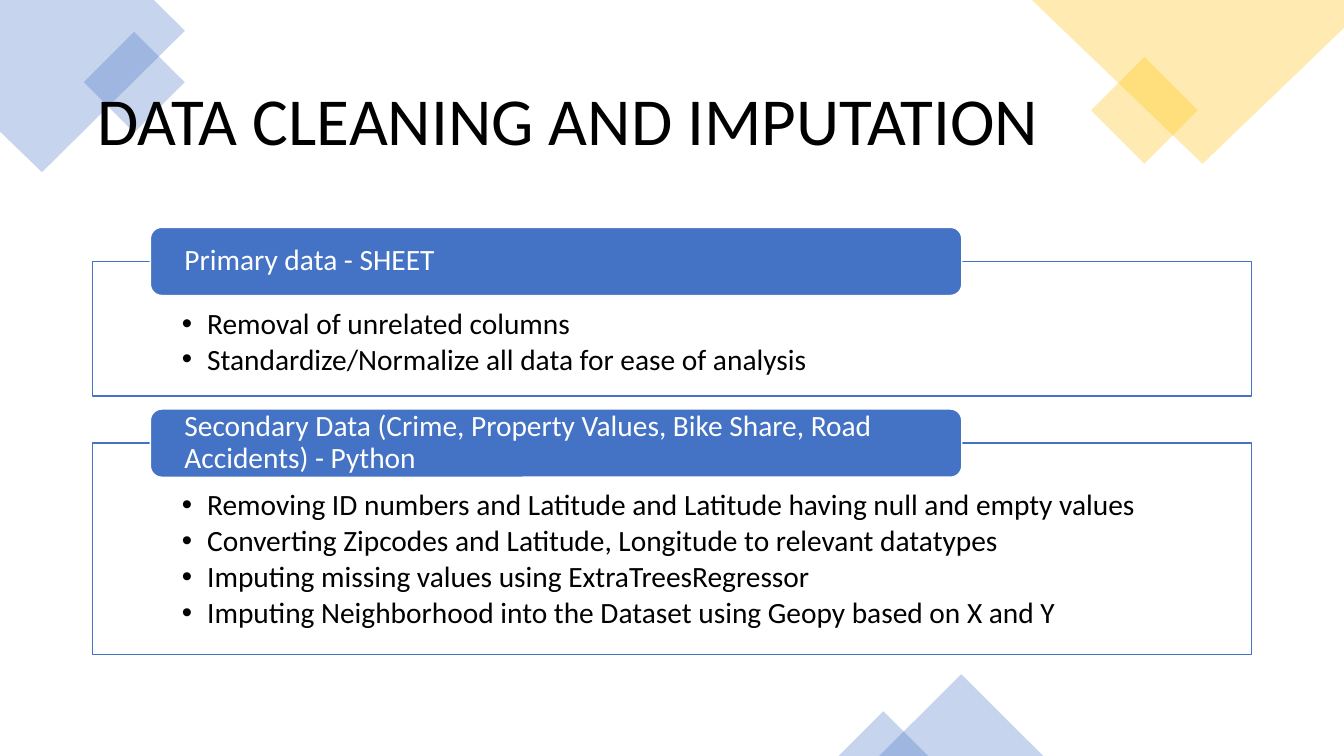
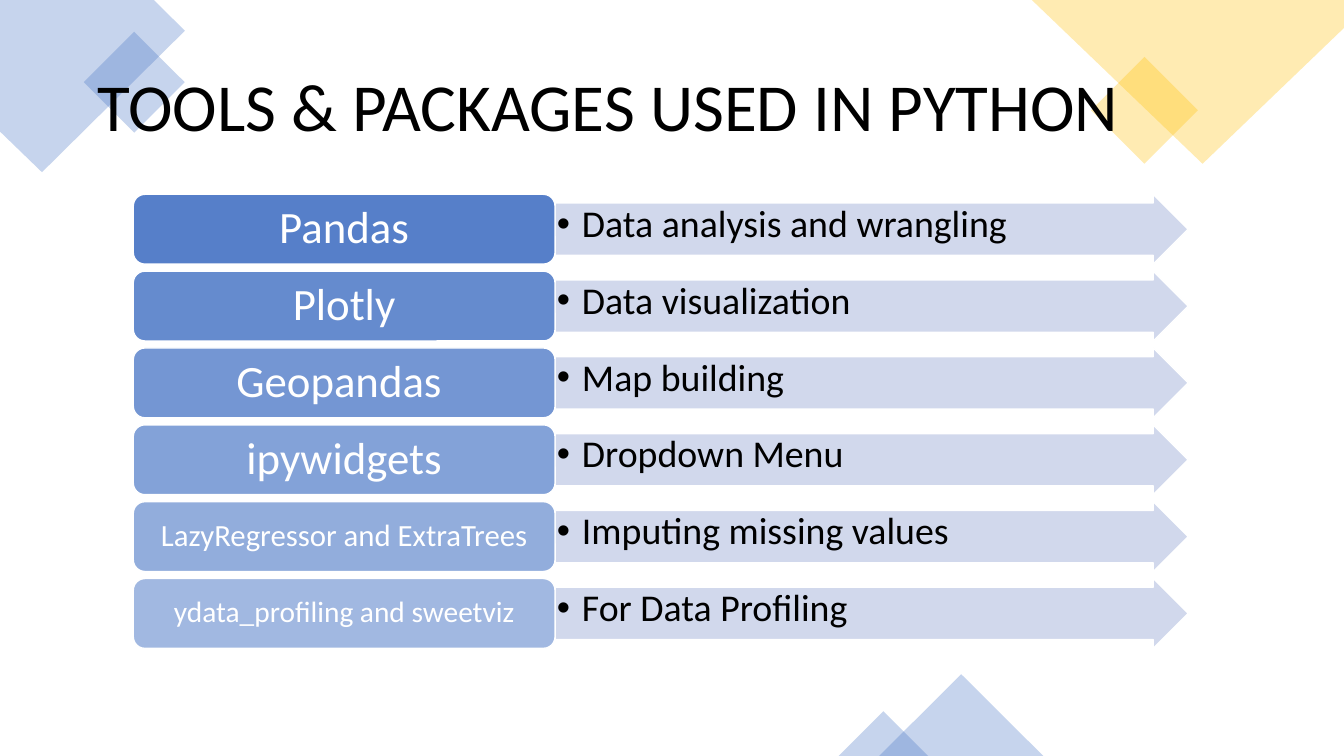
from lxml import etree
from pptx import Presentation
from pptx.dml.color import RGBColor
from pptx.enum.shapes import MSO_SHAPE
from pptx.enum.text import MSO_ANCHOR, MSO_AUTO_SIZE, PP_ALIGN
from pptx.oxml.ns import qn
from pptx.util import Pt

RECTANGLE = MSO_SHAPE.RECTANGLE
ROUNDED = MSO_SHAPE.ROUNDED_RECTANGLE
TRIANGLE = MSO_SHAPE.ISOSCELES_TRIANGLE
ARROW = MSO_SHAPE.RIGHT_ARROW
TOP, MIDDLE = MSO_ANCHOR.TOP, MSO_ANCHOR.MIDDLE
LEFT, CENTER = PP_ALIGN.LEFT, PP_ALIGN.CENTER

COLORS = {
    "blue": "4472C4",
    "gold": "FFC000",
    "pale": "CDD4EA",
    "white": "FFFFFF",
    "black": "000000",
}
FONT = "Calibri"
TITLE_ONLY = 5
MARGIN, CONTENT_WIDTH = 66, 828

# Corner decoration: outlines, tilted squares and triangles, in points
OUTLINES = [
    ("blue", [(0, 0), (109.5, 0), (131.5, 22), (30, 123.2), (0, 93.5)]),
    ("gold", [(736.6, 0), (960, 0), (960, 20.2), (859, 116.6)]),
]
SQUARES = [("blue", 70.4, 33.2, 51), ("gold", 790.5, 51.8, 54)]
TRIANGLES = [(628, 481.6, 117.2, 58.4), (599, 508, 64, 32)]

CLEANING_STEPS = [
    (186.6, 96.4, "Primary data - SHEET", [
        "Removal of unrelated columns",
        "Standardize/Normalize all data for ease of analysis",
    ]),
    (316.4, 151.2,
     "Secondary Data (Crime, Property Values, Bike Share, Road Accidents) - Python", [
         "Removing ID numbers and Latitude and Latitude having null and empty values",
         "Converting Zipcodes and Latitude, Longitude to relevant datatypes",
         "Imputing missing values using ExtraTreesRegressor",
         "Imputing Neighborhood into the Dataset using Geopy based on X and Y",
     ]),
]
PACKAGES = [
    ("Pandas", 32, "Data analysis and wrangling"),
    ("Plotly", 32, "Data visualization"),
    ("Geopandas ", 32, "Map building"),
    ("ipywidgets", 32, "Dropdown Menu"),
    ("LazyRegressor and ExtraTrees", 22, "Imputing missing values"),
    ("ydata_profiling and sweetviz", 21, "For Data Profiling"),
]


def rgb(name):
    return RGBColor.from_string(COLORS[name])


class Deck:
    def __init__(self):
        self.presentation = Presentation()
        self.presentation.slide_width = Pt(960)
        self.presentation.slide_height = Pt(540)
        self.slide = None

    def start_slide(self, heading, top):
        layout = self.presentation.slide_layouts[TITLE_ONLY]
        self.slide = self.presentation.slides.add_slide(layout)
        self.decorate()
        title = self.slide.shapes.title
        title.left, title.top = Pt(MARGIN), Pt(top)
        title.width, title.height = Pt(CONTENT_WIDTH), Pt(89.3)
        self.add_text(title, [heading], 48, "black", insets=(3.6, 3.6))
        # The title lies above the decoration
        title.element.getparent().append(title.element)

    def decorate(self):
        for color, (start, *corners) in OUTLINES:
            builder = self.slide.shapes.build_freeform(*start, scale=Pt(1))
            builder.add_line_segments(corners, close=True)
            self.paint(builder.convert_to_shape(), color, 30)
        for color, left, top, side in SQUARES:
            square = self.add_shape(RECTANGLE, left, top, side, side, color, 30)
            square.rotation = 315
        for box in TRIANGLES:
            self.add_shape(TRIANGLE, *box, "blue", 30)

    def paint(self, shape, color, opacity=100, line=None):
        shape.shadow.inherit = False
        shape.fill.solid()
        shape.fill.fore_color.rgb = rgb(color)
        if opacity < 100:
            tone = shape.element.spPr.find(qn("a:solidFill")).find(qn("a:srgbClr"))
            etree.SubElement(tone, qn("a:alpha"), val=str(opacity * 1000))
        if line:
            shape.line.color.rgb = rgb(line)
            shape.line.width = Pt(1)
        else:
            shape.line.fill.background()

    def add_shape(self, kind, left, top, width, height, color, opacity=100, line=None):
        shape = self.slide.shapes.add_shape(
            kind, Pt(left), Pt(top), Pt(width), Pt(height))
        self.paint(shape, color, opacity, line)
        return shape

    def add_text(self, shape, lines, size, color, insets=(0, 0), anchor=MIDDLE,
                 align=LEFT, before=0, bullets=False):
        """Fill a shape with paragraphs; insets are (sides, top and bottom)."""
        frame = shape.text_frame
        frame.word_wrap = True
        frame.auto_size = MSO_AUTO_SIZE.NONE
        frame.vertical_anchor = anchor
        frame.margin_left = frame.margin_right = Pt(insets[0])
        frame.margin_top = frame.margin_bottom = Pt(insets[1])
        for index, line in enumerate(lines):
            paragraph = frame.add_paragraph() if index else frame.paragraphs[0]
            paragraph.alignment = align
            paragraph.line_spacing = 0.9
            paragraph.space_before = Pt(before)
            run = paragraph.add_run()
            run.text = line
            run.font.name = FONT
            run.font.size = Pt(size)
            run.font.color.rgb = rgb(color)
            if bullets:
                self.add_bullet(paragraph)

    def add_bullet(self, paragraph):
        properties = paragraph._p.get_or_add_pPr()
        properties.set("marL", str(Pt(18)))
        properties.set("indent", str(-Pt(18)))
        etree.SubElement(properties, qn("a:buFont"), typeface="Arial")
        etree.SubElement(properties, qn("a:buChar"), char="•")

    def step_panel(self, top, height, heading, points):
        panel = self.add_shape(RECTANGLE, MARGIN, top, CONTENT_WIDTH, height,
                               "white", 90, "blue")
        self.add_text(panel, points, 21, "black", (64, 0), TOP, before=3, bullets=True)
        panel.text_frame.margin_top = Pt(34)
        header = self.add_shape(ROUNDED, 107.4, top - 24.2, 579.6, 48.7,
                                "blue", line="white")
        self.add_text(header, [heading], 21, "white", (22, 0))

    def package_row(self, top, height, opacity, package, size, purpose):
        arrow = self.add_shape(ARROW, 396.5, top, 452.2, height, "pale", 90, "white")
        arrow.adjustments[0] = 0.75
        self.add_text(arrow, [purpose], 27, "black", (1.2, 1.2), TOP,
                      before=4, bullets=True)
        label = self.add_shape(ROUNDED, 95.2, top, 301.3, height,
                               "blue", opacity, "white")
        self.add_text(label, [package], size, "white", (10, 0), align=CENTER)


def main():
    deck = Deck()

    # Data cleaning
    deck.start_slide("DATA CLEANING AND IMPUTATION", 43.9)
    for step in CLEANING_STEPS:
        deck.step_panel(*step)

    # Python packages, fading from row to row
    deck.start_slide("TOOLS & PACKAGES USED IN PYTHON", 33.8)
    row_height = 49.9
    for index, package in enumerate(PACKAGES):
        top = 138.8 + index * row_height * 1.1
        deck.package_row(top, row_height, 90 - 8 * index, *package)

    deck.presentation.save("out.pptx")


if __name__ == "__main__":
    main()
